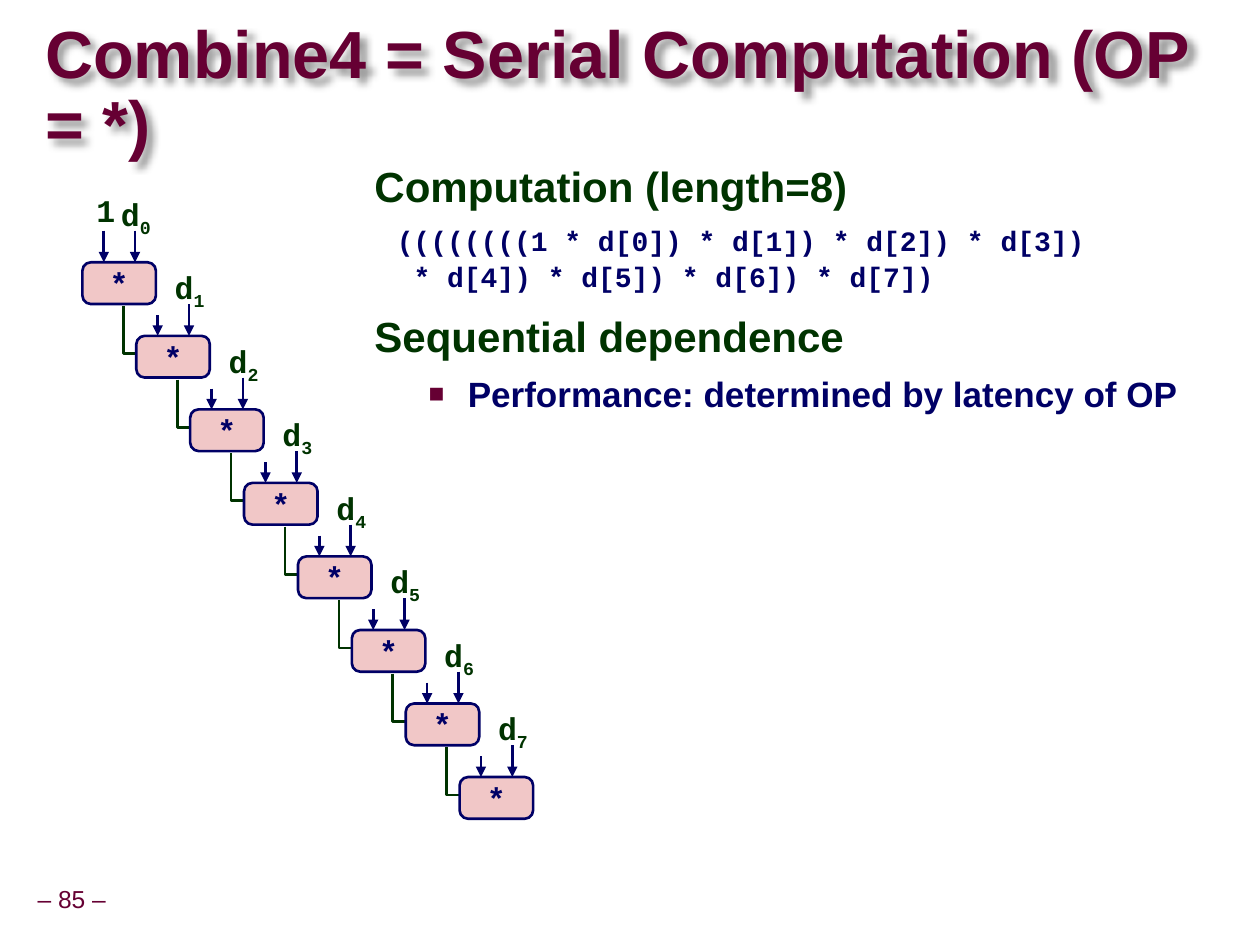
from lxml import etree
from pptx import Presentation
from pptx import util as u
from pptx.dml.color import RGBColor
from pptx.enum import shapes, text
from pptx.oxml import parse_xml
from pptx.oxml.ns import nsdecls, qn

COLORS = {"plum": "660033", "green": "003300", "navy": "000066", "pink": "F1C7C7"}
SANS, MONO = "Arial", "Courier New"
STEPS = 8
STEP_X, STEP_Y = 1.085, 1.48
NODE_WIDTH, NODE_HEIGHT = 1.48, 0.84


def color(name):
    return RGBColor.from_string(COLORS[name])


def style(font, name, size, tint, bold=True):
    font.name, font.size, font.bold = name, u.Pt(size), bold
    font.color.rgb = color(tint)


def set_frame(frame, inset_x, inset_y, anchor=text.MSO_ANCHOR.TOP, wrap=True):
    frame.margin_left = frame.margin_right = u.Cm(inset_x)
    frame.margin_top = frame.margin_bottom = u.Cm(inset_y)
    frame.vertical_anchor = anchor
    frame.word_wrap = wrap


def add_text(slide, box, inset_x=0.13, inset_y=0.13, **options):
    shape = slide.shapes.add_textbox(*map(u.Cm, box))
    set_frame(shape.text_frame, inset_x, inset_y, **options)
    return shape


def add_title(slide, box):
    shape = add_text(slide, box, 0, 0, anchor=text.MSO_ANCHOR.MIDDLE)
    para = shape.text_frame.paragraphs[0]
    para.text = "Combine4 = Serial Computation (OP = *)"
    para.line_spacing = 0.87
    style(para.runs[0].font, SANS, 38, "plum")
    shape._element.spPr.append(parse_xml(
        f'<a:effectLst {nsdecls("a")}>'
        '<a:outerShdw blurRad="50800" dist="50800" dir="2700000" algn="tl">'
        '<a:srgbClr val="000000"><a:alpha val="40000"/></a:srgbClr>'
        '</a:outerShdw></a:effectLst>'))


def set_indent(para, margin, first):
    properties = para._p.get_or_add_pPr()
    properties.set("marL", str(u.Cm(margin)))
    properties.set("indent", str(u.Cm(first)))
    return properties


def add_bullet(properties):
    tint = etree.SubElement(properties, qn("a:buClr"))
    etree.SubElement(tint, qn("a:srgbClr"), val=COLORS["plum"])
    etree.SubElement(properties, qn("a:buSzPct"), val="75000")
    etree.SubElement(properties, qn("a:buFont"), typeface=SANS)
    etree.SubElement(properties, qn("a:buChar"), char="■")


def add_body(slide, box):
    frame = add_text(slide, box, 0.25).text_frame
    code = "((((((((1 * d[0]) * d[1]) * d[2]) * d[3])\v* d[4]) * d[5]) * d[6]) * d[7])"
    rows = [
        ("Computation (length=8)", SANS, 24, "green", 0.79, -0.79, 0.95, 0),
        (code, MONO, 16, "navy", 0.79, -0.34, 1.07, 5),
        ("Sequential dependence", SANS, 24, "green", 0.79, -0.79, 0.95, 12),
        ("Performance: determined by latency of OP", SANS, 20, "navy", 1.88, -0.79, 1, 6),
    ]
    for index, (words, name, size, tint, margin, first, spacing, before) in enumerate(rows):
        para = frame.paragraphs[0] if index == 0 else frame.add_paragraph()
        para.text = words
        para.line_spacing = spacing
        para.space_before = u.Pt(before)
        if tint == "green":
            margin = first = 0
        properties = set_indent(para, margin, first)
        if index == len(rows) - 1:
            add_bullet(properties)
        for span in para.runs:
            style(span.font, name, size, tint)


def add_arrow(slide, x, top, bottom):
    arrow = slide.shapes.add_connector(
        shapes.MSO_CONNECTOR.STRAIGHT, *map(u.Cm, (x, top, x, bottom)))
    arrow.line.color.rgb = color("navy")
    arrow.line.width = u.Pt(1.5)
    etree.SubElement(arrow.line._get_or_add_ln(), qn("a:tailEnd"), type="triangle")
    etree.SubElement(arrow._element.spPr, qn("a:effectLst"))


def add_operand(slide, box, letter, subscript=""):
    para = add_text(slide, box).text_frame.paragraphs[0]
    para.alignment = text.PP_ALIGN.CENTER
    para.line_spacing = 0.9
    for words in filter(None, (letter, subscript)):
        span = para.add_run()
        span.text = words
        style(span.font, MONO, 18, "green")
    if subscript:
        span.font._element.set("baseline", "-25000")


def add_elbow(slide, left, top):
    builder = slide.shapes.build_freeform(u.Cm(left - 0.26), u.Cm(top - 0.6))
    builder.add_line_segments(
        [(u.Cm(left - 0.26), u.Cm(top + 0.36)), (u.Cm(left), u.Cm(top + 0.36))], close=False)
    elbow = builder.convert_to_shape()
    elbow.shadow.inherit = False
    elbow.fill.background()
    elbow.line.color.rgb = color("green")
    elbow.line.width = u.Pt(1.5)


def add_node(slide, left, top):
    node = slide.shapes.add_shape(
        shapes.MSO_SHAPE.ROUNDED_RECTANGLE, *map(u.Cm, (left, top, NODE_WIDTH, NODE_HEIGHT)))
    node.adjustments[0] = 0.2
    node.shadow.inherit = False
    node.fill.solid()
    node.fill.fore_color.rgb = color("pink")
    node.line.color.rgb = color("navy")
    node.line.width = u.Pt(1.5)
    set_frame(node.text_frame, 0.25, 0.13, text.MSO_ANCHOR.MIDDLE, False)
    para = node.text_frame.paragraphs[0]
    para.text = "*"
    para.alignment = text.PP_ALIGN.CENTER
    style(para.runs[0].font, MONO, 18, "navy")


def add_chain(slide, box):
    left, top = box
    for index in range(STEPS):
        x, y = left + index * STEP_X, top + index * STEP_Y
        if index == 0:
            add_operand(slide, (x + 0.15, y - 1.48, 0.64, 0.96), "1")
        else:
            add_elbow(slide, x, y)
        add_node(slide, x, y)
        add_arrow(slide, x + 0.43, y - (0.42 if index else 0.64), y)
        add_arrow(slide, x + 1.06, y - 0.64, y)
        add_operand(slide, (x + 0.63, y - 1.48, 0.89, 0.96), "d", str(index))


def add_page_number(slide, box):
    frame = add_text(slide, box, anchor=text.MSO_ANCHOR.MIDDLE, wrap=False).text_frame
    para = frame.paragraphs[0]
    para.text = "– 85 –"
    para.alignment = text.PP_ALIGN.CENTER
    para.line_spacing = 0.9
    style(para.runs[0].font, SANS, 14, "plum", False)


def main():
    deck = Presentation()
    deck.slide_width, deck.slide_height = u.Cm(25.37), u.Cm(19.02)
    slide = deck.slides.add_slide(deck.slide_layouts[6])
    add_page_number(slide, (0.58, 17.73, 1.73, 0.81))
    add_title(slide, (0.91, 0.79, 24.03, 2.16))
    add_body(slide, (7.29, 3.18, 17.65, 4.65))
    add_chain(slide, (1.66, 5.28))
    deck.save("out.pptx")


if __name__ == "__main__":
    main()
